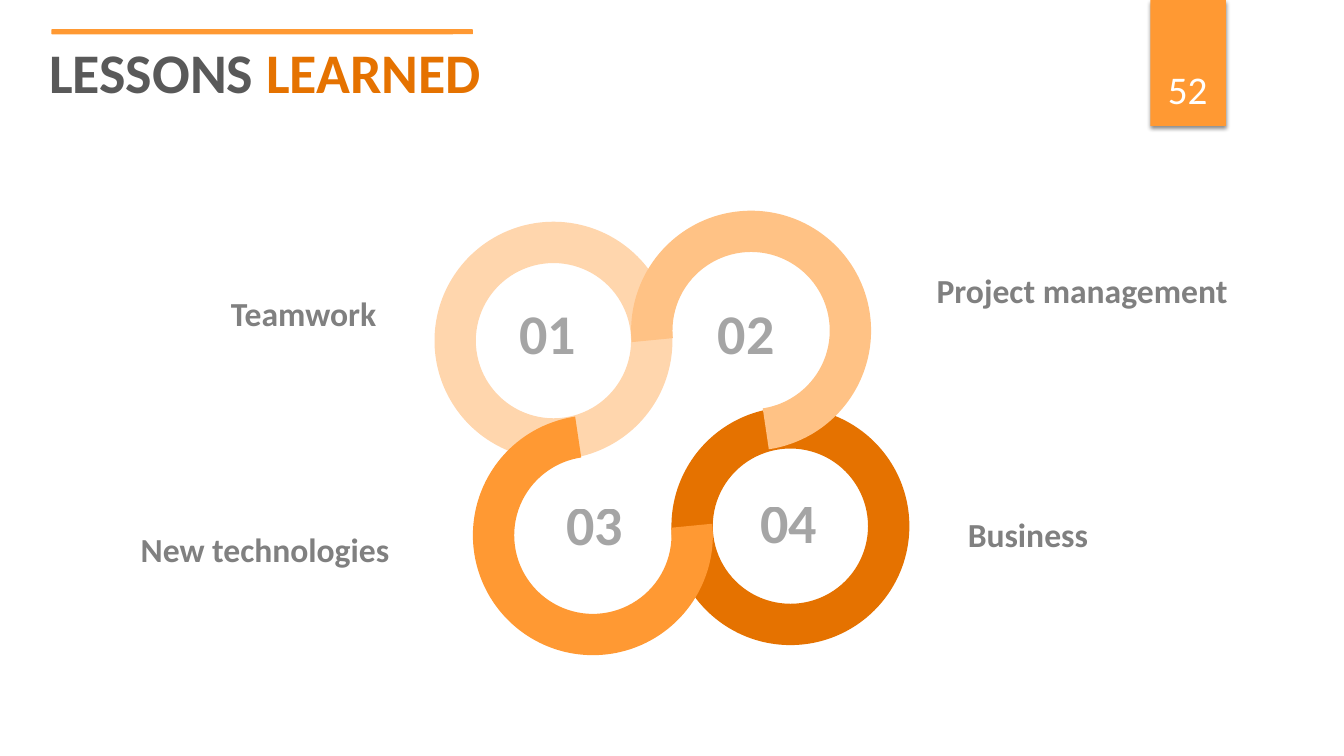
from pptx import Presentation
from pptx.dml.color import RGBColor
from pptx.enum import shapes, text
from pptx.oxml.xmlchemy import OxmlElement
from pptx.util import Inches, Pt

COLORS = {"orange": "FF9933", "dark": "E57200", "light": "FFC285", "pale": "FFD6AD",
          "title": "595959", "gray": "808080", "white": "FFFFFF", "black": "000000"}
FONT = "Calibri"
TITLE = [("LESSONS ", "title"), ("LEARNED", "dark")]
PAGE = "52"

# centre x, centre y, outer radius, colour, (start, end) degrees of an open ring
BAND = 0.41
RINGS = [
    (7.84, 5.22, 1.18, "dark", None),
    (5.49, 3.38, 1.18, "pale", None),
    (7.45, 3.28, 1.19, "light", (174.5, 81.5)),
    (5.88, 5.31, 1.19, "orange", (354.5, 261.5)),
]
# number, left, top
NUMBERS = [("01", 5.02, 2.91), ("02", 6.99, 2.91), ("03", 5.49, 4.81), ("04", 7.41, 4.79)]
# label, left, top, width, alignment
LABELS = [
    ("Teamwork", 2.17, 2.86, 1.66, "RIGHT"),
    ("New technologies", 1.27, 5.2, 2.69, "RIGHT"),
    ("Project management", 9.19, 2.63, 3.12, "LEFT"),
    ("Business", 9.5, 5.05, 1.41, "LEFT"),
]


def rgb(name):
    return RGBColor.from_string(COLORS[name])


def add_alpha(color_element, percent):
    alpha = OxmlElement("a:alpha")
    alpha.set("val", str(percent * 1000))
    color_element.append(alpha)


def add_filled(s, kind, x, y, w, h, color):
    sp = s.shapes.add_shape(kind, Inches(x), Inches(y), Inches(w), Inches(h))
    sp.shadow.inherit = False
    sp.fill.solid()
    sp.fill.fore_color.rgb = rgb(color)
    sp.line.fill.background()
    return sp


def add_drop_shadow(sp):
    shadow = OxmlElement("a:outerShdw")
    for key, value in (("blurRad", Pt(3)), ("dist", Pt(2)), ("dir", 90 * 60000)):
        shadow.set(key, str(value))
    shadow.set("rotWithShape", "0")
    color = OxmlElement("a:srgbClr")
    color.set("val", COLORS["black"])
    add_alpha(color, 45)
    shadow.append(color)
    sp.element.spPr.find("{*}effectLst").append(shadow)


def add_ring(s, cx, cy, radius, color, arc):
    kind = shapes.MSO_SHAPE.BLOCK_ARC if arc else shapes.MSO_SHAPE.DONUT
    sp = add_filled(s, kind, cx - radius, cy - radius, 2 * radius, 2 * radius, color)
    # Angles are stored in 1/60000 degree, adjustments in 1/100000
    values = [angle * 0.6 for angle in arc or ()] + [BAND / (2 * radius)]
    for i, value in enumerate(values):
        sp.adjustments[i] = value


def add_text(s, runs, x, y, w, h, size, align="LEFT", bold=True, wrap=True):
    """Add a one-line text box from (text, colour) runs."""
    tf = s.shapes.add_textbox(Inches(x), Inches(y), Inches(w), Inches(h)).text_frame
    tf.word_wrap = wrap
    tf.auto_size = text.MSO_AUTO_SIZE.SHAPE_TO_FIT_TEXT
    p = tf.paragraphs[0]
    p.alignment = getattr(text.PP_ALIGN, align)
    for words, color in runs:
        r = p.add_run()
        r.text = words
        r.font.name = FONT
        r.font.size = Pt(size)
        r.font.bold = bold
        r.font.color.rgb = rgb(color)
    return tf


def main():
    prs = Presentation()
    prs.slide_width, prs.slide_height = Inches(13.33), Inches(7.5)
    s = prs.slides.add_slide(prs.slide_layouts[6])

    add_drop_shadow(add_filled(s, shapes.MSO_SHAPE.RECTANGLE, 11.41, 0, 0.75, 1.25, "orange"))
    for ring in RINGS:
        add_ring(s, *ring)
    for number, x, y in NUMBERS:
        tf = add_text(s, [(number, "gray")], x, y, 0.82, 0.77, 40, "CENTER")
        r = tf.paragraphs[0].runs[0]
        add_alpha(r.font.fill.fore_color and r._r.rPr.find(".//{*}srgbClr"), 70)
    for label, x, y, w, align in LABELS:
        add_text(s, [(label, "gray")], x, y, w, 0.5, 24, align, wrap=False)

    bar = add_filled(s, shapes.MSO_SHAPE.ROUNDED_RECTANGLE, 0.51, 0.29, 4.18, 0.05, "orange")
    bar.adjustments[0] = 0.12
    add_text(s, TITLE, 0.39, 0.32, 6.5, 0.77, 39.9)
    tf = add_text(s, [(PAGE, "white")], 11.32, 0.32, 0.92, 0.84, 28, "CENTER", bold=False)
    tf.auto_size = text.MSO_AUTO_SIZE.NONE
    tf.vertical_anchor = text.MSO_ANCHOR.BOTTOM

    prs.save("out.pptx")


if __name__ == "__main__":
    main()
